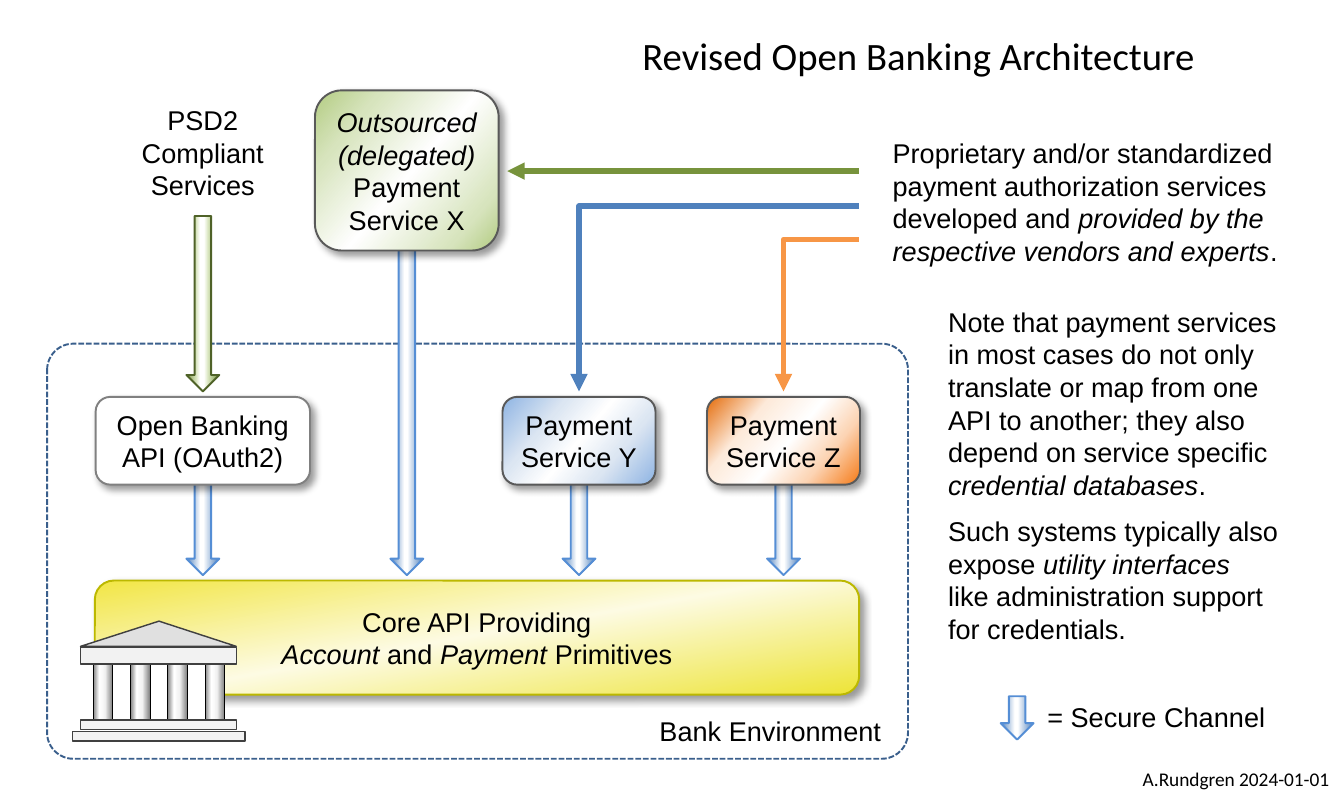
"""Build the slide on a revised open banking architecture."""
import dataclasses

import lxml.etree
import pptx
import pptx.dml.color
import pptx.enum.dml
import pptx.enum.shapes
import pptx.enum.text
import pptx.oxml.ns
import pptx.util

Cm, Pt, qn = pptx.util.Cm, pptx.util.Pt, pptx.oxml.ns.qn
PRESET = pptx.enum.shapes.MSO_SHAPE
ALIGN = pptx.enum.text.PP_ALIGN
ANCHOR = pptx.enum.text.MSO_ANCHOR


@dataclasses.dataclass(frozen=True)
class Theme:
    body_font: str = "Arial"
    title_font: str = "Calibri"
    body_size: int = 14
    title_size: int = 20
    credit_size: int = 10
    ink: str = "000000"
    white: str = "FFFFFF"
    box_edge: str = "595959"
    api_edge: str = "808080"
    core_edge: str = "BCB800"
    environment_edge: str = "3A5F8C"
    channel_edge: str = "558ED5"
    psd2_edge: str = "4F6228"
    stone: str = "F2F2F2"
    roof: str = "E0E0E0"
    stone_edge: str = "404040"
    vendor_x: str = "77933C"
    vendor_y: str = "4F81BD"
    vendor_z: str = "F79646"
    channel: tuple = (0, (0, "4F81BD"), (43, "FFFFFF"), (52, "FFFFFF"), (100, "4F81BD"))
    psd2: tuple = (0, (0, "77933C"), (30, "D7E4BD"), (42, "FFFFFF"), (54, "FFFFFF"),
                   (67, "D7E4BD"), (100, "77933C"))
    core: tuple = (80, (1, "F2E648"), (49, "FDFBE3"), (100, "EDE437"))
    service_x: tuple = (40, (0, "B3CC82"), (21, "D7E4BD"), (52, "FFFFFF"), (84, "D7E4BD"),
                        (100, "B3CC82"))
    service_y: tuple = (40, (0, "8EB4E3"), (29, "DCE6F2"), (50, "FFFFFF"), (72, "DCE6F2"),
                        (100, "8EB4E3"))
    service_z: tuple = (40, (0, "E46C0A"), (28, "FDEADA"), (53, "FFFFFF"), (75, "FCD5B5"),
                        (100, "F57B17"))
    pillar: tuple = (0, (0, "808080"), (32, "FFFFFF"), (61, "F2F2F2"), (100, "808080"))


THEME = Theme()

TITLE = "Revised Open Banking Architecture"
CREDIT = "A.Rundgren 2024-01-01"
API_X, X_X, Y_X, Z_X, LEGEND_X = 3.7, 7.42, 10.56, 14.29, 18.55
BOX_TOP, BOX_HEIGHT, CORE_TOP, TIP_GAP = 7.24, 1.6, 10.59, 0.1
VENDOR_X = 15.66

BOXES = [
    ("Core API Providing\n*Account* and *Payment* Primitives", 8.7, CORE_TOP, 13.94, 2.08,
     THEME.core, THEME.core_edge),
    ("Open Banking\nAPI (OAuth2)", API_X, BOX_TOP, 3.91, BOX_HEIGHT, THEME.white, THEME.api_edge),
    ("*Outsourced\n(delegated)\n*Payment\nService X", X_X, 1.65, 3.35, 2.92,
     THEME.service_x, THEME.box_edge),
    ("Payment\nService Y", Y_X, BOX_TOP, 2.79, BOX_HEIGHT, THEME.service_y, THEME.box_edge),
    ("Payment\nService Z", Z_X, BOX_TOP, 2.79, BOX_HEIGHT, THEME.service_z, THEME.box_edge),
]
CHANNELS = [(API_X, 8.38, CORE_TOP - TIP_GAP), (X_X, 3.48, CORE_TOP - TIP_GAP),
            (Y_X, 8.38, CORE_TOP - TIP_GAP), (Z_X, 8.38, CORE_TOP - TIP_GAP),
            (LEGEND_X, 12.7, 13.49)]
PSD2_CHANNEL = (API_X, 3.94, BOX_TOP - TIP_GAP)
VENDOR_ROUTES = [(Y_X, 3.76, THEME.vendor_y), (Z_X, 4.37, THEME.vendor_z)]
LABELS = [
    (["PSD2\nCompliant\nServices"], (2.1, 1.75, 3.2, 2.06), ALIGN.CENTER),
    (["Proprietary and/or standardized",
      "payment authorization services\ndeveloped and *provided by the\n"
      "respective vendors and experts*."], (16.03, 2.36, 7.8, 2.64), ALIGN.LEFT),
    (["Note that payment services\nin most cases do not only\ntranslate or map from one\n"
      "API to another; they also\ndepend on service specific\n*credential databases*."],
     (17.04, 5.46, 6.9, 3.78), ALIGN.LEFT),
    (["Such systems typically also\nexpose *utility interfaces\n*like administration support\n"
      "for credentials."], (17.04, 9.26, 6.9, 2.63), ALIGN.LEFT),
    (["Bank Environment"], (11.65, 12.9, 4.8, 0.86), ALIGN.CENTER),
    (["= Secure Channel"], (18.85, 12.65, 4.7, 0.86), ALIGN.LEFT),
]
PILLARS = [(1.7 + 0.68 * place, 12.01, 0.36, 1.17) for place in range(4)]
SLABS = [(1.47, 11.81, 2.84, 0.3), (1.32, 13.34, 3.15, 0.18), (1.47, 13.13, 2.84, 0.18)]
ROOF = [(1.47, 11.79), (2.9, 11.33), (4.31, 11.79)]


def rgb(code):
    return pptx.dml.color.RGBColor.from_string(code)


def add_xml(parent, tag, **attributes):
    return lxml.etree.SubElement(parent, qn(tag), **attributes)


def paint(shape, fill=None, edge=None, width=1):
    shape.shadow.inherit = False
    if fill is None:
        shape.fill.background()
    elif isinstance(fill, str):
        shape.fill.solid()
        shape.fill.fore_color.rgb = rgb(fill)
    else:
        angle, *stops = fill
        shape.fill.gradient()
        shape.fill.gradient_angle = -angle % 360
        stop_list = shape.element.spPr.find(".//" + qn("a:gsLst"))
        for default_stop in list(stop_list):
            stop_list.remove(default_stop)
        for percent, code in stops:
            add_xml(add_xml(stop_list, "a:gs", pos=str(percent * 1000)), "a:srgbClr", val=code)
    if edge is None:
        shape.line.fill.background()
    else:
        shape.line.color.rgb = rgb(edge)
        shape.line.width = Pt(width)


def add_shape(shapes, preset, area, **look):
    shape = shapes.add_shape(preset, *map(Cm, area))
    paint(shape, **look)
    return shape


def add_outline(shapes, points, close, **look):
    start, *rest = [(Cm(x), Cm(y)) for x, y in points]
    builder = shapes.build_freeform(*start)
    builder.add_line_segments(rest, close=close)
    outline = builder.convert_to_shape()
    paint(outline, **look)
    return outline


def add_arrowhead(line):
    add_xml(line.element.spPr.find(qn("a:ln")), "a:tailEnd", type="triangle")


def add_shadow(shape):
    effects = shape.element.spPr.find(qn("a:effectLst"))
    shadow = add_xml(effects, "a:outerShdw", blurRad="50800", dist="38100", dir="2700000",
                     algn="tl", rotWithShape="0")
    add_xml(add_xml(shadow, "a:srgbClr", val=THEME.ink), "a:alpha", val="40000")


def write(frame, paragraphs, align=ALIGN.CENTER, anchor=ANCHOR.MIDDLE,
          font=THEME.body_font, size=THEME.body_size):
    frame.word_wrap = True
    frame.auto_size = pptx.enum.text.MSO_AUTO_SIZE.NONE
    frame.vertical_anchor = anchor
    for index, text in enumerate(paragraphs):
        paragraph = frame.add_paragraph() if index else frame.paragraphs[0]
        paragraph.alignment = align
        for part, piece in enumerate(text.split("*")):
            for row, words in enumerate(piece.split("\n")):
                if row:
                    paragraph.add_line_break()
                if words:
                    run = paragraph.add_run()
                    run.text = words
                    run.font.name, run.font.size = font, Pt(size)
                    run.font.italic = part % 2 == 1
                    run.font.color.rgb = rgb(THEME.ink)
        for line_break in paragraph._p.findall(qn("a:br")):
            add_xml(line_break, "a:rPr", sz=str(size * 100))


def add_channel(shapes, channel, **look):
    centre, top, tip = channel
    add_shape(shapes, PRESET.DOWN_ARROW, (centre - 0.3, top, 0.6, tip - top), **look)


def add_bank(shapes):
    add_shape(shapes, PRESET.RECTANGLE, (1.75, 12.01, 2.11, 1.3), fill=THEME.white)
    for pillar in PILLARS:
        add_shape(shapes, PRESET.RECTANGLE, pillar, fill=THEME.pillar, edge=THEME.ink, width=0.5)
    add_outline(shapes, ROOF, True, fill=THEME.roof, edge=THEME.stone_edge, width=0.75)
    for slab in SLABS:
        add_shape(shapes, PRESET.RECTANGLE, slab, fill=THEME.stone, edge=THEME.stone_edge,
                  width=0.75)


def main():
    deck = pptx.Presentation()
    deck.slide_width, deck.slide_height = Cm(24.51), Cm(14.5)
    slide = deck.slides.add_slide(deck.slide_layouts[5])
    shapes = slide.shapes

    title = shapes.title
    title.left, title.top, title.width, title.height = map(Cm, (11.46, 0.46, 10.9, 1.12))
    write(title.text_frame, [TITLE], align=ALIGN.LEFT, anchor=ANCHOR.TOP,
          font=THEME.title_font, size=THEME.title_size)

    environment = add_shape(shapes, PRESET.ROUNDED_RECTANGLE, (0.86, 6.27, 15.7, 7.57),
                            edge=THEME.environment_edge)
    environment.adjustments[0] = 0.063
    environment.line.dash_style = pptx.enum.dml.MSO_LINE.SQUARE_DOT

    for channel in CHANNELS:
        add_channel(shapes, channel, fill=THEME.channel, edge=THEME.channel_edge)
    add_channel(shapes, PSD2_CHANNEL, fill=THEME.psd2, edge=THEME.psd2_edge)

    for text, centre, top, width, height, fill, edge in BOXES:
        box = add_shape(shapes, PRESET.ROUNDED_RECTANGLE, (centre - width / 2, top, width, height),
                        fill=fill, edge=edge)
        add_shadow(box)
        write(box.text_frame, [text])

    outsourcing = shapes.add_connector(pptx.enum.shapes.MSO_CONNECTOR.STRAIGHT,
                                       Cm(VENDOR_X), Cm(3.12), Cm(9.25), Cm(3.12))
    outsourcing.line.color.rgb = rgb(THEME.vendor_x)
    outsourcing.line.width = Pt(3)
    add_arrowhead(outsourcing)
    add_xml(outsourcing.element.spPr, "a:effectLst")
    for column, top, color in VENDOR_ROUTES:
        corner_route = [(VENDOR_X, top), (column, top), (column, BOX_TOP - TIP_GAP)]
        add_arrowhead(add_outline(shapes, corner_route, False, edge=color, width=3))

    add_bank(shapes.add_group_shape().shapes)

    for paragraphs, area, align in LABELS:
        write(shapes.add_textbox(*map(Cm, area)).text_frame, paragraphs, align=align)
    credit = shapes.add_textbox(*map(Cm, (20.29, 13.87, 4.2, 0.63)))
    write(credit.text_frame, [CREDIT], align=ALIGN.RIGHT, anchor=ANCHOR.TOP,
          font=THEME.title_font, size=THEME.credit_size)

    deck.save("out.pptx")


if __name__ == "__main__":
    main()
